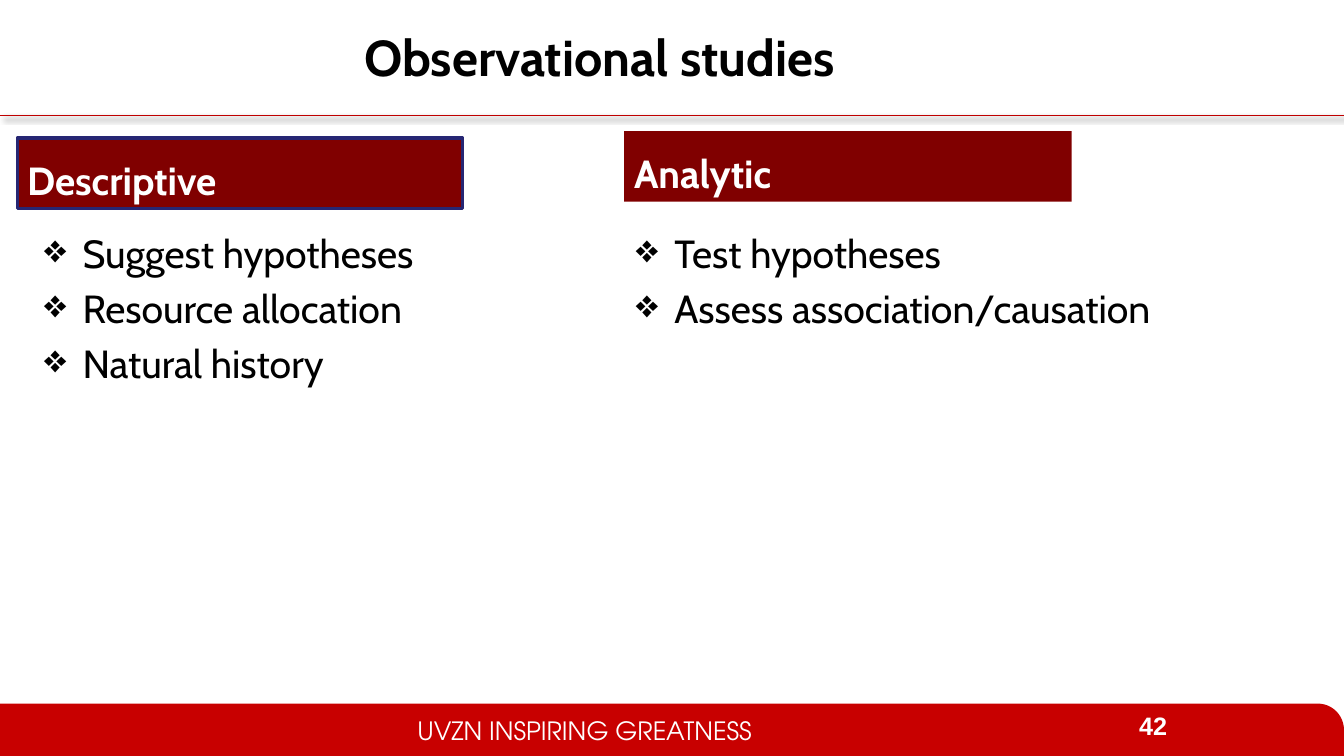
"""Build the slide comparing descriptive and analytic observational studies."""
import lxml.etree
import pptx
import pptx.dml.color
import pptx.enum.shapes
import pptx.enum.text
import pptx.oxml
import pptx.oxml.ns
import pptx.util

Inches = pptx.util.Inches
Pt = pptx.util.Pt
RGBColor = pptx.dml.color.RGBColor
ANCHOR = pptx.enum.text.MSO_ANCHOR
ALIGN = pptx.enum.text.PP_ALIGN
SHAPE = pptx.enum.shapes.MSO_SHAPE

BLACK = RGBColor(0x00, 0x00, 0x00)
WHITE = RGBColor(0xFF, 0xFF, 0xFF)
RULE_RED = RGBColor(0xC0, 0x00, 0x00)
FOOTER_RED = RGBColor(0xC8, 0x00, 0x00)
MAROON = RGBColor(0x80, 0x00, 0x00)
NAVY = RGBColor(0x26, 0x26, 0x73)

SLIDE_WIDTH, SLIDE_HEIGHT = 13.33, 7.5
BULLET_INDENT = 0.38

TITLE_FONT = {"name": "Cabin", "size": Pt(36), "bold": True}
HEADING_FONT = {"name": "Cabin", "size": Pt(28), "bold": True}
POINT_FONT = {"name": "Cabin", "size": Pt(28)}
MOTTO_FONT = {"name": "TeX Gyre Adventor", "size": Pt(18)}
NUMBER_FONT = {"name": "Arial", "size": Pt(18), "bold": True}

COLUMNS = [
    {"heading": "Descriptive", "heading_box": (0.17, 1.37, 4.42, 0.7), "border": NAVY,
     "points": ["Suggest hypotheses", "Resource allocation", "Natural history"],
     "points_box": (0.34, 2.23, 4.42, 2.66)},
    {"heading": "Analytic", "heading_box": (6.19, 1.3, 4.44, 0.7), "border": None,
     "points": ["Test hypotheses", "Assess association/causation"],
     "points_box": (6.21, 2.23, 6.24, 2.07)},
]

SHADOW = (
    f'<a:effectLst {pptx.oxml.ns.nsdecls("a")}>'
    '<a:outerShdw blurRad="50800" dist="38100" dir="2700000" algn="tl" rotWithShape="0">'
    '<a:srgbClr val="000000"><a:alpha val="40000"/></a:srgbClr>'
    '</a:outerShdw></a:effectLst>'
)


def write_lines(frame, lines, font, color, anchor=ANCHOR.TOP, align=ALIGN.LEFT, before=0):
    """Fill a text frame with one paragraph per line and return the paragraphs."""
    frame.word_wrap = True
    frame.vertical_anchor = anchor
    paragraphs = [frame.paragraphs[0]] + [frame.add_paragraph() for _ in lines[1:]]
    for paragraph, line in zip(paragraphs, lines):
        paragraph.alignment = align
        paragraph.space_before = Pt(before)
        run = paragraph.add_run()
        run.text = line
        for attribute, value in font.items():
            setattr(run.font, attribute, value)
        run.font.color.rgb = color
    return paragraphs


def add_text(slide, box, lines, font, color, **layout):
    """Add a text box with the given lines."""
    frame = slide.shapes.add_textbox(*map(Inches, box)).text_frame
    return write_lines(frame, lines, font, color, **layout)


def add_panel(slide, preset, box, fill, border=None):
    """Add a flat filled shape with an optional border."""
    panel = slide.shapes.add_shape(preset, *map(Inches, box))
    panel.shadow.inherit = False
    panel.fill.solid()
    panel.fill.fore_color.rgb = fill
    if border is None:
        panel.line.fill.background()
    else:
        panel.line.color.rgb = border
        panel.line.width = Pt(2.25)
    return panel


def add_header(slide, box):
    """Add the title and the shadowed rule along the bottom of the header."""
    left, top, width, height = box
    add_text(slide, (left + 0.69, top + 0.13, 10.51, 0.86), ["Observational studies"],
             TITLE_FONT, BLACK, anchor=ANCHOR.MIDDLE, align=ALIGN.CENTER)
    rule = slide.shapes.add_connector(
        pptx.enum.shapes.MSO_CONNECTOR.STRAIGHT,
        *map(Inches, (left, top + height, left + width, top + height)))
    rule.line.color.rgb = RULE_RED
    rule.line.width = Pt(0.75)
    rule._element.spPr.append(pptx.oxml.parse_xml(SHADOW))


def add_column(slide, heading, heading_box, border, points, points_box):
    """Add a heading panel and its bulleted points."""
    panel = add_panel(slide, SHAPE.RECTANGLE, heading_box, MAROON, border)
    write_lines(panel.text_frame, [heading], HEADING_FONT, WHITE,
                anchor=ANCHOR.BOTTOM, before=5.6)
    for paragraph in add_text(slide, points_box, points, POINT_FONT, BLACK, before=5.6):
        properties = paragraph._p.get_or_add_pPr()
        properties.set("marL", str(Inches(BULLET_INDENT)))
        properties.set("indent", str(-Inches(BULLET_INDENT)))
        bullet = lxml.etree.SubElement(properties, pptx.oxml.ns.qn("a:buChar"))
        bullet.set("char", "❖")


def add_footer(slide, box):
    """Add the red band with the motto and the slide number."""
    left, top = box[:2]
    band = add_panel(slide, SHAPE.ROUND_1_RECTANGLE, box, FOOTER_RED)
    band.adjustments[0] = 0.5
    add_text(slide, (left + 4.04, top + 0.07, 4.72, 0.4), ["UVZN INSPIRING GREATNESS"],
             MOTTO_FONT, WHITE)
    add_text(slide, (left + 11.2, top + 0.02, 0.66, 0.39), ["42"], NUMBER_FONT, WHITE)


def main():
    """Build and save the slide."""
    deck = pptx.Presentation()
    deck.slide_width = Inches(SLIDE_WIDTH)
    deck.slide_height = Inches(SLIDE_HEIGHT)
    slide = deck.slides.add_slide(deck.slide_layouts[6])
    add_header(slide, (0, 0, SLIDE_WIDTH, 1.15))
    for column in COLUMNS:
        add_column(slide, **column)
    add_footer(slide, (0, 6.98, SLIDE_WIDTH, 0.52))
    deck.save("out.pptx")


if __name__ == "__main__":
    main()
